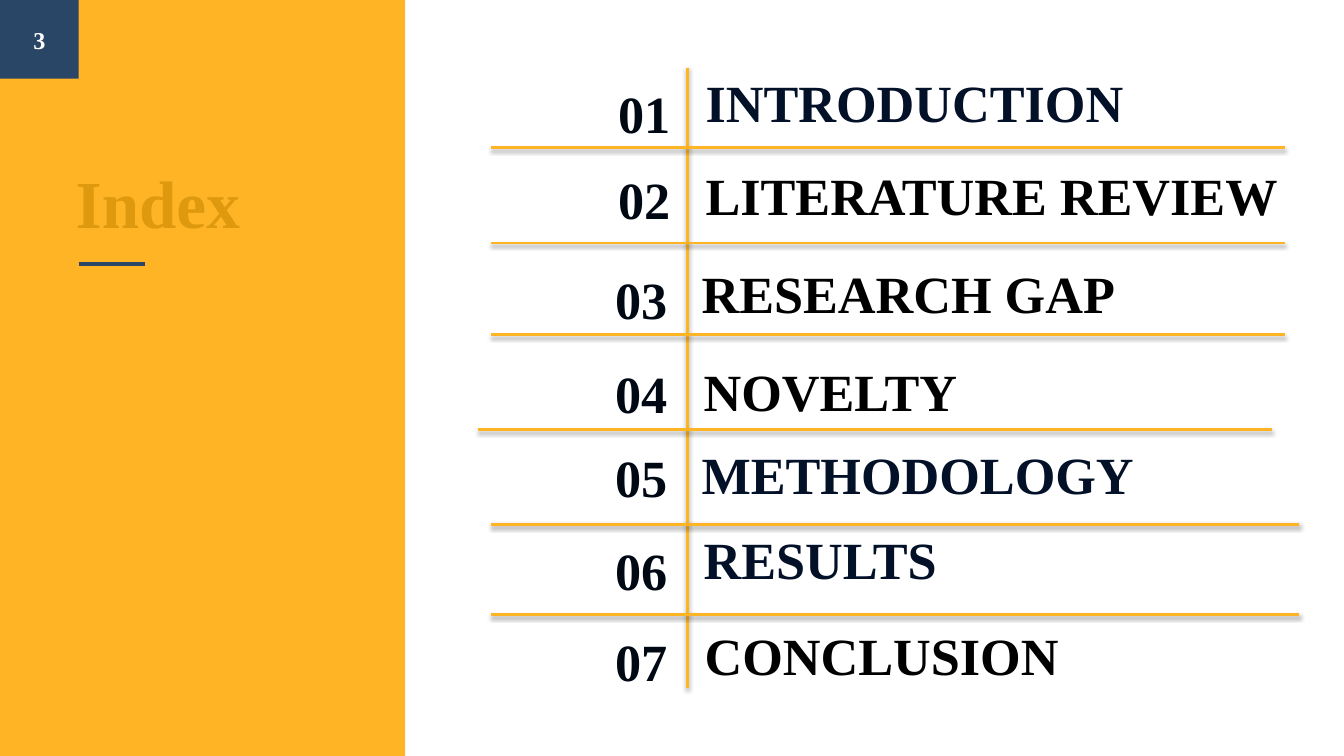
from dataclasses import dataclass

from lxml import etree
from pptx import Presentation, util as u
from pptx.dml.color import RGBColor
from pptx.enum import shapes, text
from pptx.oxml import ns


@dataclass(frozen=True)
class Theme:
    font: str = "Times New Roman"
    amber: str = "FFA800"
    rule: str = "FFB424"
    navy: str = "294667"
    ink: str = "000814"
    midnight: str = "021028"
    black: str = "000000"
    white: str = "FFFFFF"
    title_size: float = 48
    entry_size: float = 37.3
    badge_size: float = 17.3


# Grid of 40 columns and 22.5 rows, each a third of an inch
COLUMNS, ROWS = 40, 22.5


class Slide:
    def __init__(self, deck, theme):
        self.theme = theme
        self.page = deck.slides.add_slide(deck.slide_layouts[5])
        self.cell_width = deck.slide_width / COLUMNS
        self.cell_height = deck.slide_height / ROWS

    def place(self, left, top, width, height):
        return (round(left * self.cell_width), round(top * self.cell_height),
                round(width * self.cell_width), round(height * self.cell_height))

    def panel(self, area, colour, opacity=100):
        panel = self.page.shapes.add_shape(shapes.MSO_SHAPE.RECTANGLE, *self.place(*area))
        panel.shadow.inherit = False
        panel.line.fill.background()
        panel.fill.solid()
        panel.fill.fore_color.rgb = RGBColor.from_string(colour)
        if opacity < 100:
            fill = panel._element.spPr.find(".//" + ns.qn("a:srgbClr"))
            etree.SubElement(fill, ns.qn("a:alpha"), val=str(opacity * 1000))

    def rule(self, start, end, colour, weight, shadow=False):
        line = self.page.shapes.add_connector(
            shapes.MSO_CONNECTOR.STRAIGHT, *self.place(*start, *end))
        line.line.color.rgb = RGBColor.from_string(colour)
        line.line.width = u.Pt(weight)
        effects = etree.SubElement(line._element.spPr, ns.qn("a:effectLst"))
        if shadow:
            outer = etree.SubElement(
                effects, ns.qn("a:outerShdw"), blurRad=str(int(u.Pt(3.1))),
                dist=str(int(u.Pt(1.6))), dir="5400000", rotWithShape="0")
            tint = etree.SubElement(outer, ns.qn("a:srgbClr"), val=self.theme.black)
            etree.SubElement(tint, ns.qn("a:alpha"), val="37000")

    def fill_text(self, box, words, size, colour, align, anchor, inset):
        frame = box.text_frame
        frame.text = words
        frame.word_wrap = True
        frame.auto_size = text.MSO_AUTO_SIZE.NONE
        frame.vertical_anchor = anchor
        frame.margin_left = frame.margin_right = u.Inches(inset)
        frame.margin_top = frame.margin_bottom = u.Inches(inset)
        para = frame.paragraphs[0]
        para.alignment = align
        para.font.name = self.theme.font
        para.font.size = u.Pt(size)
        para.font.bold = True
        para.font.color.rgb = RGBColor.from_string(colour)

    def title(self, area, words):
        box = self.page.shapes.title
        box.left, box.top, box.width, box.height = self.place(*area)
        self.fill_text(box, words, self.theme.title_size, self.theme.navy,
                       text.PP_ALIGN.LEFT, text.MSO_ANCHOR.BOTTOM, 0.1)

    def label(self, area, words, size, colour, align=text.PP_ALIGN.LEFT,
              anchor=text.MSO_ANCHOR.BOTTOM, inset=0.13):
        box = self.page.shapes.add_textbox(*self.place(*area))
        self.fill_text(box, words, size, colour, align, anchor, inset)


def main():
    deck = Presentation()
    deck.slide_width, deck.slide_height = u.Inches(13.33), u.Inches(7.5)
    theme = Theme()
    slide = Slide(deck, theme)
    centre, right = text.PP_ALIGN.CENTER, text.PP_ALIGN.RIGHT
    middle = text.MSO_ANCHOR.MIDDLE

    # Side panel with page number and title
    badge = (0, 0, 2.34, 2.34)
    slide.panel((0, 0, 12.06, ROWS), theme.amber, opacity=85)
    slide.panel(badge, theme.navy)
    slide.label(badge, "3", theme.badge_size, theme.white, centre, middle, 0.1)
    slide.title((1.95, 4.56, 9.39, 2.94), "Index")
    slide.rule((2.34, 7.86), (4.32, 7.86), theme.navy, 2.25)

    # Index entries: words, colour, label area, place of the number
    entries = [
        ("INTRODUCTION", theme.midnight, (20.61, 2.01, 14.4, 2.34), (12.66, 2.1)),
        ("LITERATURE REVIEW", theme.black, (20.61, 4.59, 19.39, 2.52), (12.66, 4.65)),
        ("RESEARCH GAP", theme.black, (20.49, 7.5, 19.44, 2.52), (12.57, 7.62)),
        ("NOVELTY", theme.black, (20.55, 10.44, 19.44, 2.52), (12.57, 10.44)),
        ("METHODOLOGY", theme.midnight, (20.49, 12.9, 14.4, 2.52), (12.57, 12.93)),
        ("RESULTS", theme.midnight, (20.55, 15.81, 12.9, 2.13), (12.57, 15.69)),
        ("CONCLUSION", theme.black, (20.58, 18.3, 12.9, 2.52), (12.57, 18.39)),
    ]
    for number, (words, colour, area, corner) in enumerate(entries, 1):
        slide.label(area, words, theme.entry_size, colour)
        slide.label((*corner, 7.68, 2.52), f"{number:02}", theme.entry_size,
                    theme.ink, right, middle)

    # Divider and the rules between entries: row, left, right
    slide.rule((20.46, 2.01), (20.46, 20.49), theme.rule, 2, shadow=True)
    for row, start, end in [(4.38, 14.61, 38.25), (7.23, 14.61, 38.25),
                            (9.96, 14.61, 38.25), (12.78, 14.22, 37.86),
                            (15.6, 14.61, 38.67), (18.3, 14.61, 38.67)]:
        slide.rule((start, row), (end, row), theme.rule, 2, shadow=True)

    deck.save("out.pptx")


if __name__ == "__main__":
    main()
